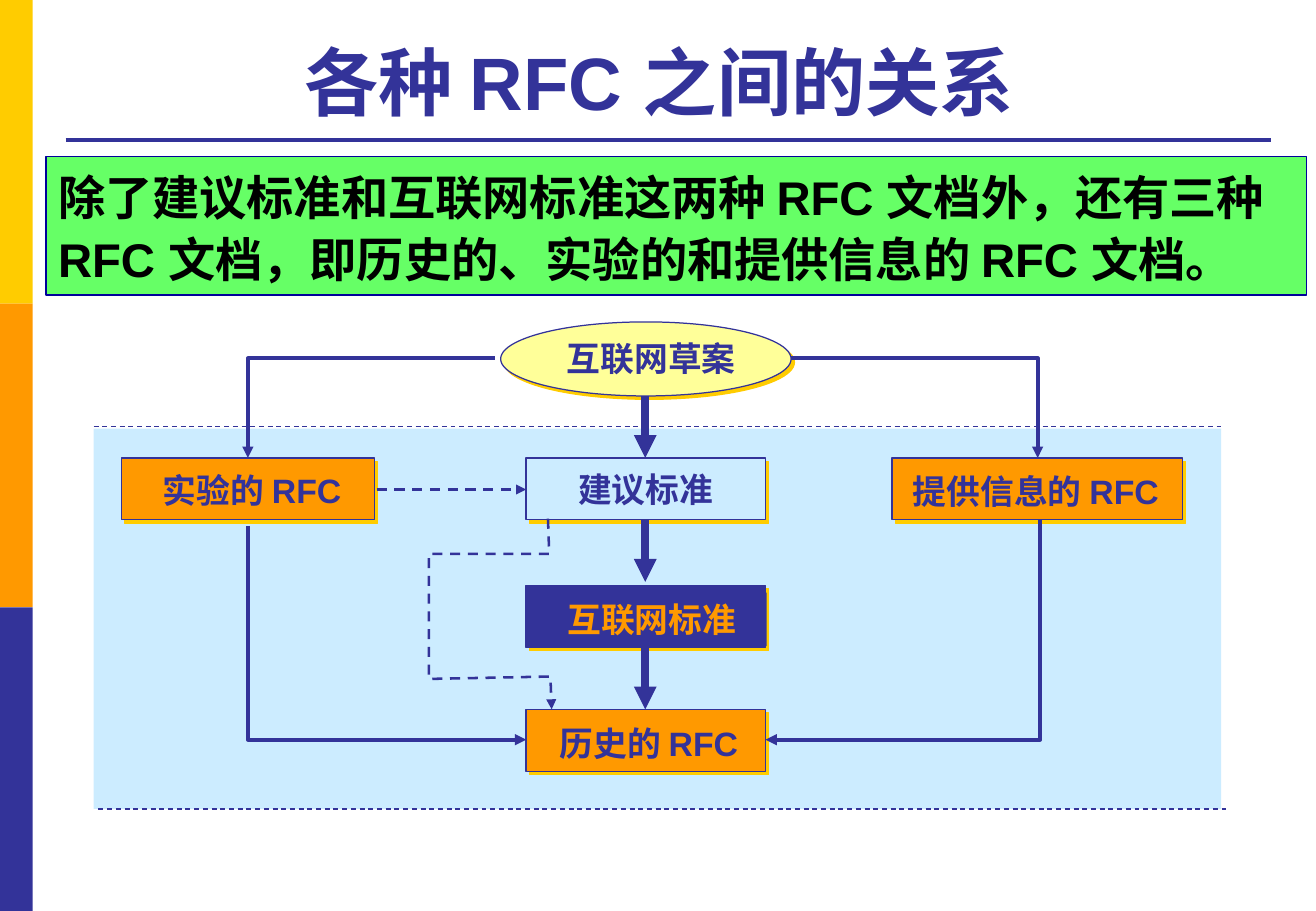
"""Builds a slide showing how the kinds of RFC documents relate."""
from lxml import etree
from pptx import Presentation
from pptx.dml.color import RGBColor
from pptx.enum.dml import MSO_LINE
from pptx.enum.shapes import MSO_CONNECTOR, MSO_SHAPE
from pptx.enum.text import MSO_ANCHOR, PP_ALIGN
from pptx.oxml.ns import qn
from pptx.util import Pt

RECTANGLE, OVAL = MSO_SHAPE.RECTANGLE, MSO_SHAPE.OVAL
STRAIGHT, DASH = MSO_CONNECTOR.STRAIGHT, MSO_LINE.DASH
TOP, BOTTOM = MSO_ANCHOR.TOP, MSO_ANCHOR.BOTTOM
LEFT, CENTER = PP_ALIGN.LEFT, PP_ALIGN.CENTER

WHITE = RGBColor(0xFF, 0xFF, 0xFF)
BLACK = RGBColor(0, 0, 0)
GOLD = RGBColor(0xFF, 0xCC, 0x00)
ORANGE = RGBColor(0xFF, 0x99, 0x00)
INDIGO = RGBColor(0x33, 0x33, 0x99)
NAVY = RGBColor(0, 0, 0x99)
SKY = RGBColor(0xCC, 0xEC, 0xFF)
CREAM = RGBColor(0xFF, 0xFF, 0x99)
GREEN = RGBColor(0x66, 0xFF, 0x66)

EMU_PER_PX = 9144
WIDTH, HEIGHT = 1083, 750
FONT = "Arial"
SHADOW_DISTANCE, SHADOW_ANGLE = 35921, 2700000

TITLE = "各种 RFC 之间的关系 "
SUMMARY = ("除了建议标准和互联网标准这两种 RFC 文档外，还有三种 RFC 文档，"
           "即历史的、实验的和提供信息的 RFC 文档。")
STRIPES = [GOLD, ORANGE, INDIGO]
PANEL = (77, 353, 928, 313)
NODES = [
    (RECTANGLE, (433, 377, 197, 51), SKY),
    (RECTANGLE, (433, 482, 197, 51), INDIGO),
    (RECTANGLE, (433, 584, 197, 51), ORANGE),
    (RECTANGLE, (734, 377, 239, 51), ORANGE),
    (RECTANGLE, (100, 377, 208, 51), ORANGE),
    (OVAL, (412, 265, 239, 61), CREAM),
]
LABELS = [
    ("互联网草案", (442, 273, 188, 44), INDIGO, None),
    ("建议标准", (455, 381, 153, 44), INDIGO, None),
    ("互联网标准", (442, 488, 189, 44), ORANGE, INDIGO),
    ("历史的 RFC", (438, 590, 192, 44), INDIGO, None),
    ("实验的 RFC", (110, 382, 195, 44), INDIGO, None),
    ("提供信息的 RFC", (731, 383, 243, 44), INDIGO, None),
]
MAIN_X = 531
MAIN_STEPS = [(326, 377), (428, 479), (533, 584)]
ROUTES = [
    ([(651, 295), (854, 295), (854, 377)], 2.25, False),
    ([(407, 295), (204, 295), (204, 377)], 2.25, False),
    ([(204, 433), (204, 609), (433, 609)], 2.25, False),
    ([(856, 428), (856, 609), (630, 609)], 2.25, False),
    ([(451, 427), (452, 456), (353, 456), (353, 559), (453, 557), (454, 584)],
     1.5, True),
]
RULES = [((54, 115), (1046, 115), 2.25, False)]
BORDERS = [((77, 351), (1005, 351), 0.75, True),
           ((81, 666), (1009, 666), 0.75, True)]


def emu(*lengths):
    return [length * EMU_PER_PX for length in lengths]


def style_line(shape, weight, dashed=False, arrow=False, color=INDIGO):
    shape.line.color.rgb = color
    shape.line.width = Pt(weight)
    if dashed:
        shape.line.dash_style = DASH
    if arrow:
        outline = shape._element.spPr.find(qn("a:ln"))
        etree.SubElement(outline, qn("a:tailEnd"), type="triangle")


def add_block(slide, kind, box, fill, border=None, shadow=None):
    shape = slide.shapes.add_shape(kind, *emu(*box))
    shape.shadow.inherit = False
    shape.fill.solid()
    shape.fill.fore_color.rgb = fill
    if border is None:
        shape.line.fill.background()
    else:
        style_line(shape, 0.75, color=border)
    if shadow is not None:
        effects = shape._element.spPr.find(qn("a:effectLst"))
        cast = etree.SubElement(effects, qn("a:outerShdw"), dist=str(SHADOW_DISTANCE),
                                dir=str(SHADOW_ANGLE), algn="ctr", rotWithShape="0")
        etree.SubElement(cast, qn("a:srgbClr"), val=str(shadow))
    return shape


def add_line(slide, start, end, weight, dashed=False, arrow=False):
    connector = slide.shapes.add_connector(STRAIGHT, *emu(*start, *end))
    style_line(connector, weight, dashed, arrow)
    etree.SubElement(connector._element.spPr, qn("a:effectLst"))


def add_route(slide, points, weight, dashed):
    start, *rest = points
    builder = slide.shapes.build_freeform(*start, scale=EMU_PER_PX)
    builder.add_line_segments(rest, close=False)
    shape = builder.convert_to_shape()
    shape.shadow.inherit = False
    shape.fill.background()
    style_line(shape, weight, dashed, arrow=True)


def write(shape, text, size, color, align=CENTER, anchor=TOP, spacing=None):
    frame = shape.text_frame
    frame.word_wrap = True
    frame.vertical_anchor = anchor
    paragraph = frame.paragraphs[0]
    paragraph.alignment = align
    if spacing:
        paragraph.line_spacing = spacing
    run = paragraph.add_run()
    run.text = text
    run.font.name = FONT
    run.font.size = Pt(size)
    run.font.bold = True
    run.font.color.rgb = color


def add_text(slide, box, text, size, color, anchor=TOP):
    write(slide.shapes.add_textbox(*emu(*box)), text, size, color, anchor=anchor)


def main():
    presentation = Presentation()
    presentation.slide_width, presentation.slide_height = emu(WIDTH, HEIGHT)
    slide = presentation.slides.add_slide(presentation.slide_layouts[6])
    slide.background.fill.solid()
    slide.background.fill.fore_color.rgb = WHITE

    stripe_height = HEIGHT // len(STRIPES)
    for index, color in enumerate(STRIPES):
        add_block(slide, RECTANGLE, (0, index * stripe_height, 27, stripe_height), color)
    for rule in RULES:
        add_line(slide, *rule)
    add_text(slide, (54, 21, 991, 87), TITLE, 44, INDIGO, BOTTOM)

    add_block(slide, RECTANGLE, PANEL, SKY)
    for kind, box, fill in NODES:
        add_block(slide, kind, box, fill, INDIGO, GOLD)
    for top, bottom in MAIN_STEPS:
        add_line(slide, (MAIN_X, top), (MAIN_X, bottom), 4.5, arrow=True)
    for route in ROUTES:
        add_route(slide, *route)
    add_line(slide, (310, 403), (433, 403), 1.5, dashed=True, arrow=True)
    for text, box, color, fill in LABELS:
        if fill is None:
            add_text(slide, box, text, 20, color)
        else:
            write(add_block(slide, RECTANGLE, box, fill), text, 20, color)
    for border in BORDERS:
        add_line(slide, *border)

    summary = add_block(slide, RECTANGLE, (38, 129, 1037, 114), GREEN, NAVY)
    write(summary, SUMMARY, 28, BLACK, align=LEFT, spacing=1.1)
    presentation.save("out.pptx")


if __name__ == "__main__":
    main()
